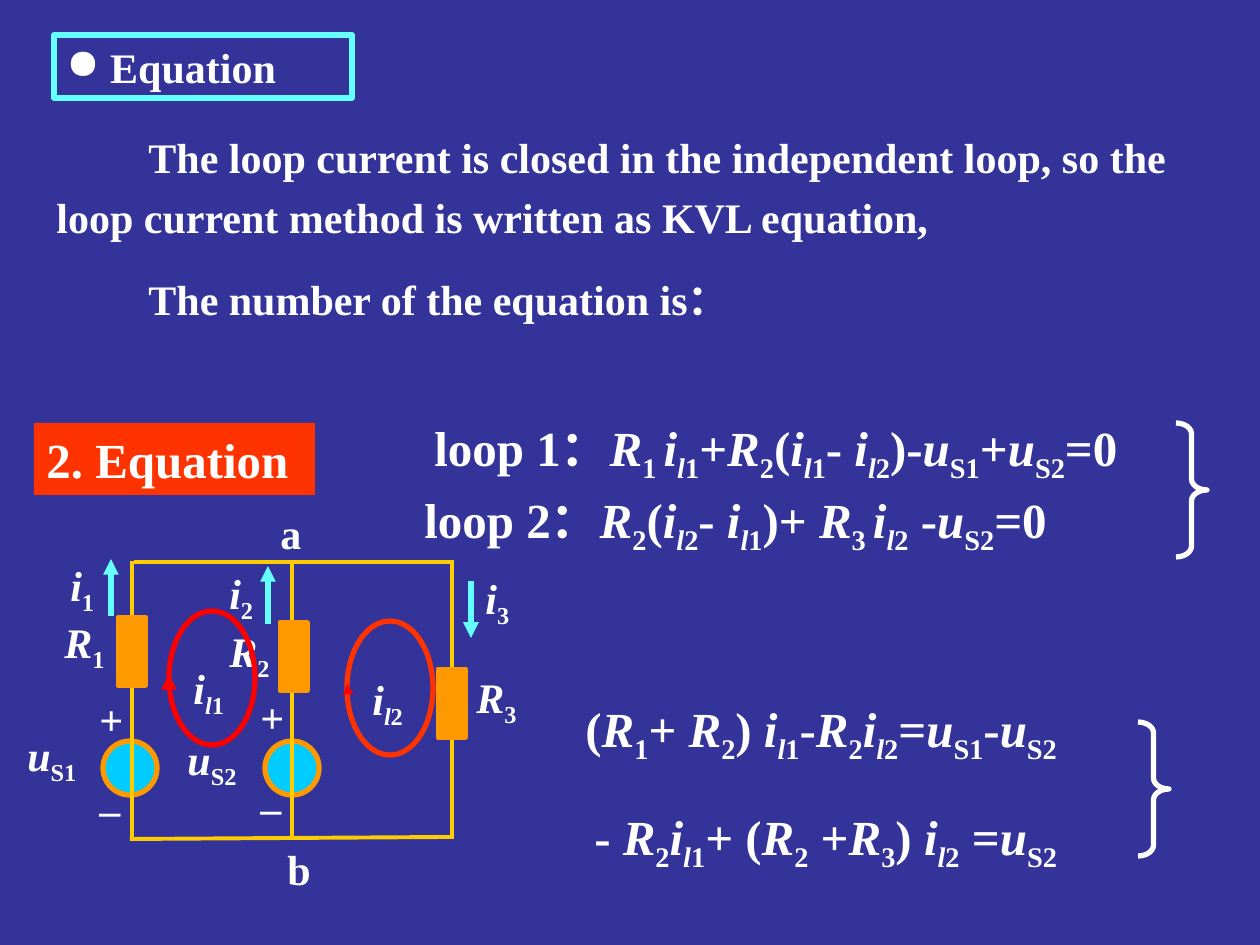
from lxml.etree import SubElement
from pptx import Presentation
from pptx.dml.color import RGBColor
from pptx.enum.shapes import MSO_CONNECTOR as CONNECTOR, MSO_SHAPE as SHAPE
from pptx.enum.text import MSO_ANCHOR as ANCHOR, MSO_AUTO_SIZE as AUTO_SIZE, PP_ALIGN as ALIGN
from pptx.oxml.ns import qn
from pptx.util import Pt

PX = 914400 / 126
FONT = "Times New Roman"
NAVY, WHITE, CYAN, SKY = "333399", "FFFFFF", "66FFFF", "00CCFF"
ORANGE, YELLOW, RED, SCARLET = "FF9900", "FFCC00", "FF0000", "FF3300"

INTRO = [
    "The loop current is closed in the independent loop, so the loop current method "
    "is written as KVL equation,",
    "The number of the equation is：",
]

# A symbol is its letter, its italic subscript and its upright subscript.
R1, R2, R3 = [("R", "", digit) for digit in "123"]
I1, I2, I3 = [("i", "", digit) for digit in "123"]
IL1, IL2 = [("i", "l", digit) for digit in "12"]
US1, US2 = [("u", "", name) for name in ("S1", "S2")]

EQUATIONS = [
    (422, 411, 794, ["loop 1：", ("R", "", "1 "), IL1, "+", R2, "(", IL1, "- ", IL2, ")-",
                     US1, "+", US2, "=0"]),
    (412, 483, 719, ["loop 2：", R2, "(", IL2, "- ", IL1, ")+ ", ("R", "", "3 "), IL2, " -",
                     US2, "=0"]),
    (573, 692, 546, ["(", R1, "+ ", R2, ") ", IL1, "-", R2, IL2, "=", US1, "-", US2]),
    (582, 800, 566, ["-", (" R", "", "2"), IL1, "+ (", R2, " +", R3, ") ", IL2, " =", US2]),
]
BRACES = [(1176, 423), (1138, 722)]

SOURCES = [(103, 741), (265, 741)]
WIRES = [
    (132, 837, 132, 561),
    (292, 839, 292, 563),
    (452, 563, 452, 839),
    (130, 839, 450, 837),
    (134, 562, 454, 562),
]
RESISTORS = [(118, 617), (280, 622), (438, 669)]
LABELS = [
    (58, 553, 66, I1), (217, 561, 66, I2), (473, 566, 88, I3),
    (52, 610, 88, R1), (217, 619, 93, R2), (464, 665, 88, R3),
    (15, 723, 98, US1), (175, 727, 118, US2),
    (181, 656, 62, IL1), (360, 667, 62, IL2),
    (87, 687, 50, "+"), (87, 777, 52, "–"),
    (248, 685, 50, "+"), (248, 775, 53, "–"),
    (268, 501, 47, "a"), (275, 837, 49, "b"),
]
LOOPS = [(169, 611, RED), (347, 621, SCARLET)]
ARROWS = [
    (111, 616, 111, 559, CYAN, 3),
    (268, 624, 268, 566, CYAN, 3),
    (471, 581, 471, 638, CYAN, 3),
    (169, 682, 169, 674, RED, 3),
    (348, 692, 347, 684, RED, 0.75),
]


def px(*lengths):
    return [round(length * PX) for length in lengths]


def color(value):
    return RGBColor.from_string(value)


def add_run(paragraph, text, size, italic=False, subscript=False):
    run = paragraph.add_run()
    run.text = text
    font = run.font
    font.name, font.size, font.bold, font.italic = FONT, Pt(size), True, italic
    font.color.rgb = color(WHITE)
    if subscript:
        font._element.set("baseline", "-25000")


def write(paragraph, parts, size):
    paragraph.alignment = ALIGN.LEFT
    for part in parts:
        if isinstance(part, str):
            add_run(paragraph, part, size)
            continue
        letter, italic_sub, upright_sub = part
        add_run(paragraph, letter, size, italic=True)
        if italic_sub:
            add_run(paragraph, italic_sub, size, italic=True, subscript=True)
        add_run(paragraph, upright_sub, size, subscript=True)


def set_frame(shape, wrap=True):
    frame = shape.text_frame
    frame.word_wrap = wrap
    frame.auto_size = AUTO_SIZE.SHAPE_TO_FIT_TEXT
    frame.vertical_anchor = ANCHOR.TOP
    return frame


def add_text(slide, left, top, width, height, parts, size):
    box = slide.shapes.add_textbox(*px(left, top, width, height))
    write(set_frame(box, width >= 50).paragraphs[0], parts, size)


def add_shape(slide, kind, left, top, width, height, fill=None, line=None, weight=3):
    shape = slide.shapes.add_shape(kind, *px(left, top, width, height))
    shape.shadow.inherit = False
    if fill:
        shape.fill.solid()
        shape.fill.fore_color.rgb = color(fill)
    else:
        shape.fill.background()
    if line:
        shape.line.color.rgb = color(line)
        shape.line.width = Pt(weight)
    else:
        shape.line.fill.background()
    return shape


def add_line(slide, ends, line, weight, arrow=False):
    connector = slide.shapes.add_connector(CONNECTOR.STRAIGHT, *px(*ends))
    connector.line.color.rgb = color(line)
    connector.line.width = Pt(weight)
    if arrow:
        SubElement(connector.line._get_or_add_ln(), qn("a:tailEnd"), type="triangle")
    SubElement(connector._element.spPr, qn("a:effectLst"))


def add_headings(slide):
    intro = set_frame(slide.shapes.add_textbox(*px(44, 115, 1216, 222)))
    for index, text in enumerate(INTRO):
        paragraph = intro.add_paragraph() if index else intro.paragraphs[0]
        properties = paragraph._p.get_or_add_pPr()
        properties.set("marL", "0")
        properties.set("indent", str(px(92)[0]))
        paragraph.line_spacing = 1.2
        if index:
            paragraph.space_before = Pt(12)
        write(paragraph, [text], 24)

    title = add_shape(slide, SHAPE.RECTANGLE, 54, 35, 298, 63, line=CYAN)
    paragraph = set_frame(title).paragraphs[0]
    SubElement(paragraph._p.get_or_add_pPr(), qn("a:buChar"), char="●")
    write(paragraph, [" Equation"], 24)

    section = add_shape(slide, SHAPE.RECTANGLE, 34, 423, 281, 72, fill=SCARLET)
    write(set_frame(section).paragraphs[0], ["2. Equation"], 28)


def add_equations(slide):
    for left, top, width, parts in EQUATIONS:
        add_text(slide, left, top, width, 72, parts, 28)
    for left, top in BRACES:
        brace = add_shape(slide, SHAPE.RIGHT_BRACE, left, top, 31, 134, line=WHITE)
        brace.adjustments[0] = 0.35


def add_circuit(slide):
    for left, top in SOURCES:
        add_shape(slide, SHAPE.OVAL, left, top, 54, 54, SKY, ORANGE)
    for ends in WIRES:
        add_line(slide, ends, YELLOW, 2.25)
    for left, top in RESISTORS:
        add_shape(slide, SHAPE.RECTANGLE, left, top, 28, 69, ORANGE, ORANGE, 2.25)
    for left, top, width, label in LABELS:
        add_text(slide, left, top, width, 63, [label], 24)
    for left, top, line in LOOPS:
        add_shape(slide, SHAPE.OVAL, left, top, 86, 134, line=line)
    for *ends, line, weight in ARROWS:
        add_line(slide, ends, line, weight, arrow=True)


def main():
    presentation = Presentation()
    presentation.slide_width, presentation.slide_height = px(1260, 945)
    slide = presentation.slides.add_slide(presentation.slide_layouts[6])
    slide.background.fill.solid()
    slide.background.fill.fore_color.rgb = color(NAVY)
    add_headings(slide)
    add_equations(slide)
    add_circuit(slide)
    presentation.save("out.pptx")


if __name__ == "__main__":
    main()
